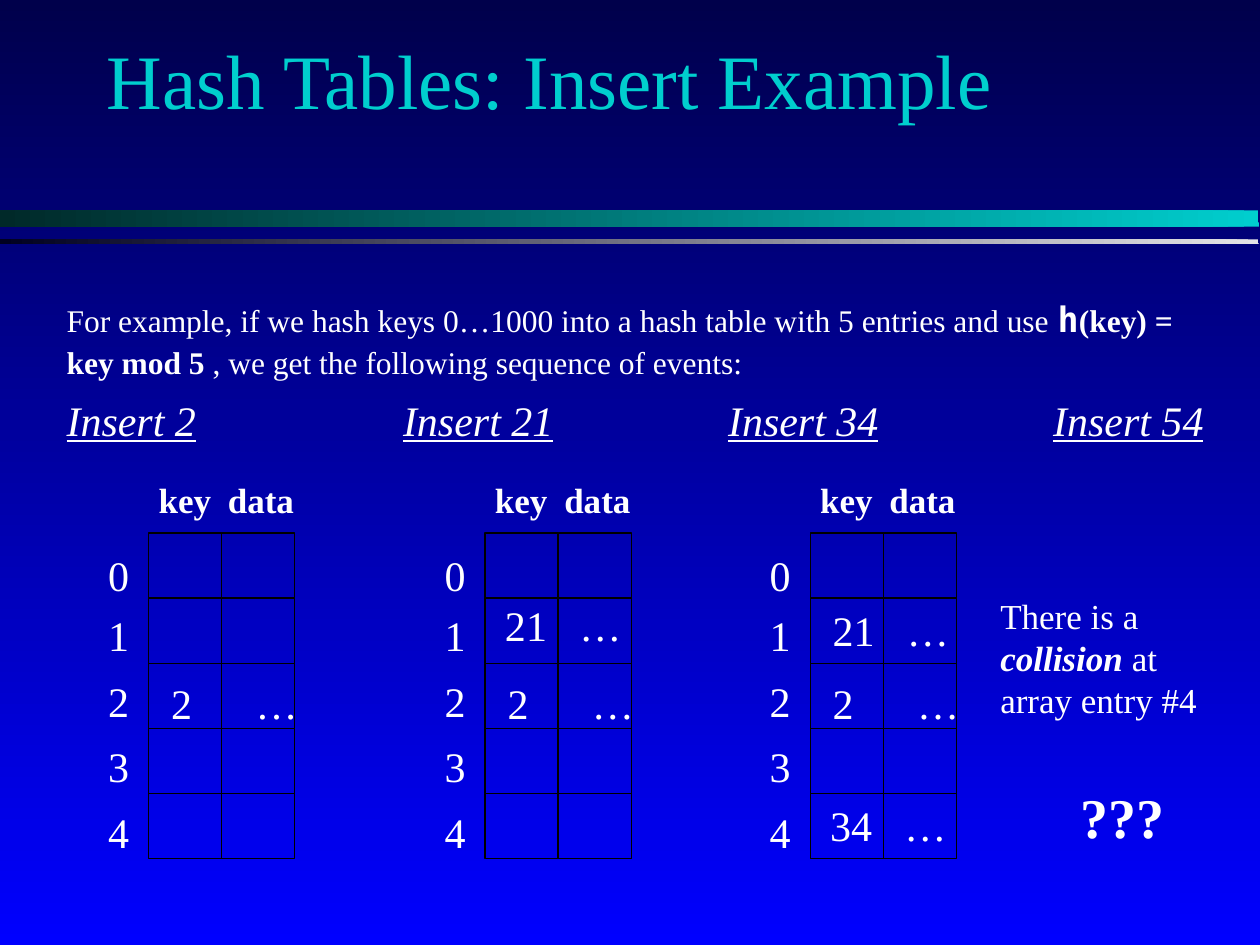
from pptx import Presentation
from pptx import util as u
from pptx.dml.color import RGBColor
from pptx.enum import shapes, text
from pptx.oxml import parse_xml
from pptx.oxml.ns import nsdecls

Inches = u.Inches
COLORS = {
    "white": "FFFFFF", "black": "000000", "title": "00CECE",
    "sky_top": "00004B", "sky_bottom": "0000FF",
    "teal_dark": "002929", "silver": "E4E4E7", "navy": "000020",
}
FONT = "Times New Roman"
CELL_W, CELL_H = 0.58, 0.517
TABLE_TOP = 4.23
BUCKETS = 5


def rgb(name):
    return RGBColor.from_string(COLORS[name])


def set_gradient(fill, start, end, angle):
    fill.gradient()
    fill.gradient_angle = angle
    for stop, position, name in zip(fill.gradient_stops, (0, 1), (start, end)):
        stop.position = position
        stop.color.rgb = rgb(name)


def add_rule(slide, top, height, start, end):
    rule = slide.shapes.add_shape(
        shapes.MSO_SHAPE.ROUNDED_RECTANGLE,
        Inches(0), Inches(top), Inches(9.99), Inches(height))
    rule.adjustments[0] = 0.01
    rule.shadow.inherit = False
    rule.line.fill.background()
    set_gradient(rule.fill, start, end, 180)


def add_text(parent, paragraphs, left, top, width, height, *, size=24,
             color="white", bold=False, italic=False, underline=False,
             wrap=False, spacing=(), tab=None, middle=False):
    """Each paragraph is a string or a list of (string, font overrides)."""
    box = parent.shapes.add_textbox(
        Inches(left), Inches(top), Inches(width), Inches(height))
    frame = box.text_frame
    frame.word_wrap = wrap or tab is not None
    if middle:
        frame.vertical_anchor = text.MSO_ANCHOR.MIDDLE
    else:
        frame.auto_size = text.MSO_AUTO_SIZE.SHAPE_TO_FIT_TEXT
    if tab is not None:
        frame.margin_right = 0
    for i, content in enumerate(paragraphs):
        para = frame.add_paragraph() if i else frame.paragraphs[0]
        if spacing:
            para.line_spacing = spacing[i]
        if tab is not None:
            para._p.get_or_add_pPr().append(parse_xml(
                f'<a:tabLst {nsdecls("a")}>'
                f'<a:tab pos="{Inches(tab)}" algn="l"/></a:tabLst>'))
        runs = [(content, {})] if isinstance(content, str) else content
        for words, overrides in runs:
            run = para.add_run()
            run.text = words
            style = {"name": FONT, "size": size, "bold": bold,
                     "italic": italic, "underline": underline, **overrides}
            style["size"] = u.Pt(style["size"])
            for key, value in style.items():
                setattr(run.font, key, value)
            run.font.color.rgb = rgb(color)


def add_cell(parent, left, top):
    cell = parent.shapes.add_shape(
        shapes.MSO_SHAPE.RECTANGLE,
        Inches(left), Inches(top), Inches(CELL_W), Inches(CELL_H))
    cell.shadow.inherit = False
    cell.fill.background()
    cell.line.color.rgb = rgb("black")
    cell.line.width = u.Pt(0.75)


def add_heading(parent, key, left):
    add_text(parent, [f"Insert {key}"], left, 3.08, 1.31 if key < 10 else 1.48,
             0.5, italic=True, underline=True)


def add_hash_table(slide, key, left, entries):
    """Entries are (key, offset from the left, top)."""
    group = slide.shapes.add_group_shape()
    for row in range(BUCKETS):
        for column in range(2):
            add_cell(group, left + 0.75 + column * CELL_W,
                     TABLE_TOP + row * CELL_H)
    add_text(group, [str(n) for n in range(BUCKETS)], left + 0.33, 4.31,
             0.36, 2.94, spacing=(1.0, 1.2, 1.3, 1.3, 1.3))
    add_text(group, ["key\tdata"], left + 0.73, 3.75, 1.28, 0.44,
             size=20, bold=True, tab=0.55)
    add_heading(group, key, left)
    for entry, offset, top in entries:
        add_text(group, [f"{entry}\t…"], left + offset, top, 1.2, 0.5,
                 tab=0.67 if entry < 10 else 0.59)


def add_collision(slide, left):
    group = slide.shapes.add_group_shape()
    add_heading(group, 54, left)
    add_text(group, ["There is a",
                     [("collision", {"bold": True, "italic": True}),
                      (" at", {})],
                     "array entry #4"],
             7.84, 4.67, 2.25, 1.1, size=20, wrap=True)
    # Wide enough to hold the three marks on one line
    add_text(group, ["???"], 8.48, 6.16, 1, 0.64, size=32, bold=True,
             wrap=True)


def main():
    prs = Presentation()
    prs.slide_width, prs.slide_height = Inches(10), Inches(7.5)
    slide = prs.slides.add_slide(prs.slide_layouts[6])

    # Background and rules
    set_gradient(slide.background.fill, "sky_top", "sky_bottom", 270)
    add_rule(slide, 1.67, 0.13, "title", "teal_dark")
    add_rule(slide, 1.9, 0.04, "silver", "navy")

    # Title and introduction
    add_text(slide, ["Hash Tables: Insert Example"], 0.75, 0, 8.5, 1.25,
             size=44, color="title", wrap=True, middle=True)
    add_text(slide, [[
        ("For example, if we hash keys 0…1000 into a hash table "
         "with 5 entries and use ", {}),
        ("h", {"name": "DejaVu Sans Mono", "size": 20, "bold": True}),
        ("(key) = key mod 5", {"bold": True}),
        (" , we get the following sequence of events:", {}),
        (" ", {"size": 20}),
    ]], 0.43, 2.31, 8.98, 0.77, size=18, wrap=True)

    # Insert steps
    two = (2, 0.83, 5.33)
    add_hash_table(slide, 2, 0.43, [two])
    add_hash_table(slide, 21, 3.1, [two, (21, 0.81, 4.71)])
    add_hash_table(slide, 34, 5.68,
                   [two, (21, 0.83, 4.75), (34, 0.81, 6.3)])
    add_collision(slide, 8.26)

    prs.save("out.pptx")


if __name__ == "__main__":
    main()
